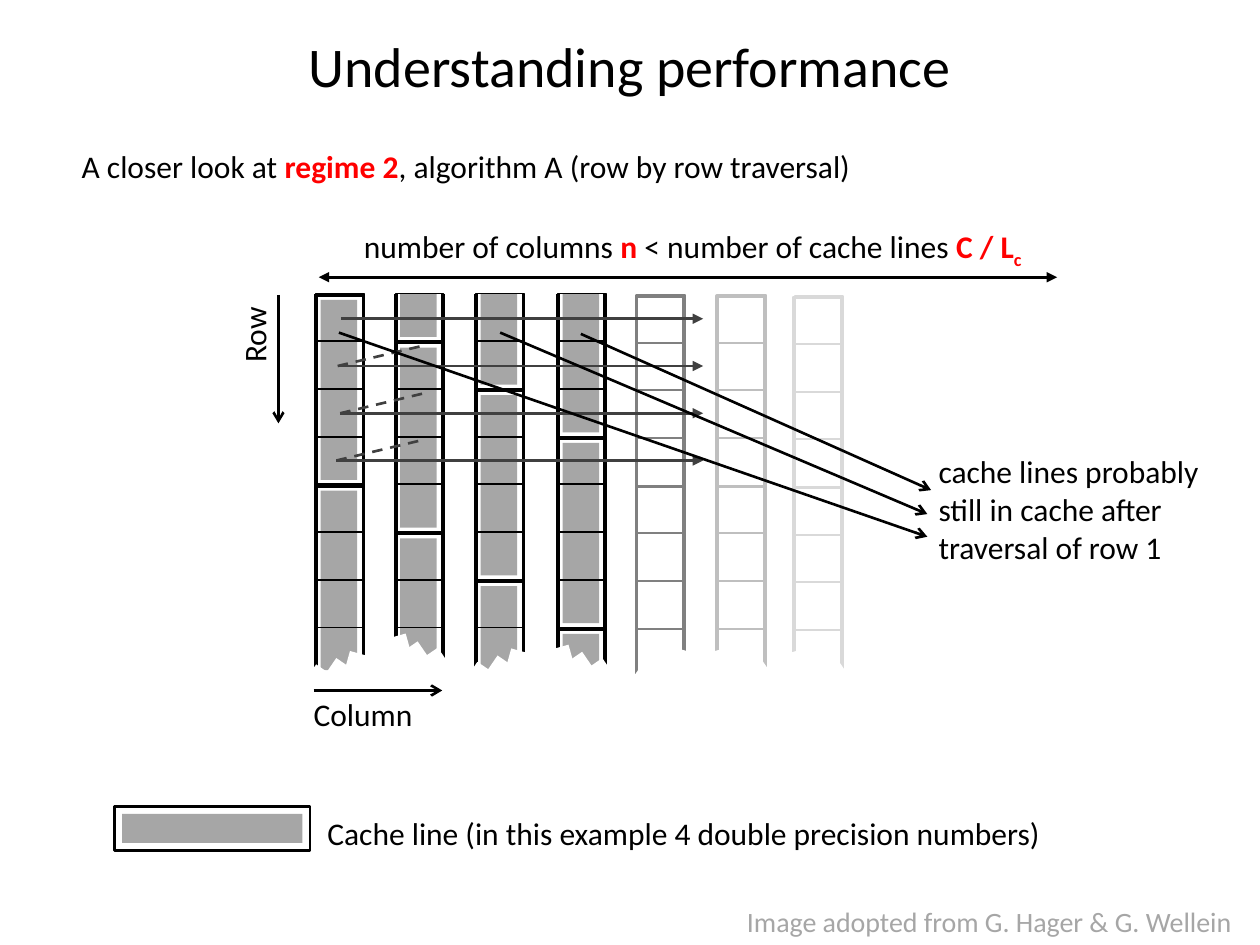
from lxml.etree import SubElement
from pptx import Presentation
from pptx.dml.color import RGBColor
from pptx.enum.dml import MSO_LINE
from pptx.enum.shapes import MSO_CONNECTOR, MSO_SHAPE
from pptx.enum.text import MSO_ANCHOR, PP_ALIGN
from pptx.oxml.ns import qn
from pptx.util import Inches, Pt

BLACK, RED, GRAY, DARK, WHITE = "000000", "FF0000", "A6A6A6", "404040", "FFFFFF"
RECT, LINE = "rectangle", "line"

deck = Presentation()
deck.slide_width, deck.slide_height = Inches(10), Inches(7.5)
slide = deck.slides.add_slide(deck.slide_layouts[6])


def add_text(text, box, size=18, color=BLACK, align=PP_ALIGN.LEFT,
             anchor=MSO_ANCHOR.TOP, rotation=0, wrap=False):
    runs = [(text, False, 0)] if isinstance(text, str) else text
    textbox = slide.shapes.add_textbox(*map(Inches, box))
    textbox.rotation = rotation
    frame = textbox.text_frame
    frame.word_wrap = wrap
    frame.vertical_anchor = anchor
    paragraph = frame.paragraphs[0]
    for content, key, baseline in runs:
        for number, line in enumerate(content.split("\n")):
            if number:
                paragraph = frame.add_paragraph()
            paragraph.alignment = align
            run = paragraph.add_run()
            run.text = line
            run.font.name, run.font.size, run.font.bold = "Calibri", Pt(size), key
            run.font.color.rgb = RGBColor.from_string(RED if key else color)
            if baseline:
                run.font._element.set("baseline", str(baseline * 1000))


def draw(kind, box, fill=None, line=None, width=1, rotation=0, dash=None, head=None, tail=None):
    lengths = map(Inches, box)
    if kind == RECT:
        item = slide.shapes.add_shape(MSO_SHAPE.RECTANGLE, *lengths)
        item.shadow.inherit = False
        item.rotation = rotation
        if fill:
            item.fill.solid()
            item.fill.fore_color.rgb = RGBColor.from_string(fill)
        else:
            item.fill.background()
    else:
        item = slide.shapes.add_connector(MSO_CONNECTOR.STRAIGHT, *lengths)
    if line:
        item.line.color.rgb = RGBColor.from_string(line)
        item.line.width = Pt(width)
    else:
        item.line.fill.background()
    if dash:
        item.line.dash_style = dash
    for end, arrowhead in (("a:headEnd", head), ("a:tailEnd", tail)):
        if arrowhead:
            SubElement(item.line._get_or_add_ln(), qn(end)).set("type", arrowhead)
    if kind == LINE:
        SubElement(item._element.spPr, qn("a:effectLst"))


add_text("Understanding performance", (0.5, 0.17, 9, 0.7), size=32,
         align=PP_ALIGN.CENTER, anchor=MSO_ANCHOR.MIDDLE, wrap=True)
add_text("Image adopted from G. Hager & G. Wellein", (5.83, 7.13, 4.18, 0.37),
         size=16, color=GRAY)

top, bottom, cell, rows, per_line = 2.33, 5.32, 0.38, 8, 4
pitch = 2.65 / 7
cached_columns = [2.51, 3.14, 3.78, 4.43]
faded_columns = [(5.05, 2.34, "808080"), (5.69, 2.34, "BFBFBF"), (6.3, 2.35, "D9D9D9")]

for offset, left in enumerate(cached_columns):
    for edge in (left, left + 0.375):
        draw(LINE, (edge, top, edge, bottom), line=BLACK, width=2.25)
    for first_row in range(offset - per_line, rows, per_line):
        start = top + first_row * pitch + 0.05
        upper, lower = max(start, top), min(start + 1.43, bottom)
        if lower > upper:
            draw(RECT, (left + 0.035, upper, 0.29, lower - upper), fill=GRAY)
    for row in range(rows):
        draw(RECT, (left, top + row * pitch, cell, cell), line=BLACK)

for left, column_top, shade in faded_columns:
    for block in range(2):
        draw(RECT, (left, column_top + 0.01 + block * 1.51, cell, 1.51), line=shade, width=2)
    for row in range(rows):
        draw(RECT, (left + 0.01, column_top + row * pitch, cell, cell), line=shade)

tear = [(0.12, 34.4), (0.07, 34.4), (0, 15.6)]
torn_ends = [(2.42, 5.19, 1, 0.25), (3.06, 5.05, -1, 0.34), (3.7, 5.17, 1, 0.25),
             (4.34, 5.14, -1, 0.25), (5.02, 5.17, 1, 0.25), (5.61, 5.16, -1, 0.25),
             (6.22, 5.17, -1, 0.25)]
for left, tear_top, direction, height in torn_ends:
    for step, (drop, angle) in enumerate(tear[::direction]):
        draw(RECT, (left + step * 0.16, tear_top + drop, 0.21, height),
             fill=WHITE, rotation=direction * angle)

for offset, left in enumerate(cached_columns):
    for row in (offset, offset + per_line):
        boundary = top + row * pitch + 0.01
        draw(LINE, (left + 0.37, boundary, left, boundary), line=BLACK, width=2.25)

for row, start in enumerate([2.71, 2.68, 2.7, 2.67]):
    level = 2.53 + row * 0.375
    draw(LINE, (start, level, 5.58, level), line=DARK, width=1.5, tail="triangle")
    if row:
        draw(LINE, (start, level, start + 0.65, level - 0.155), line=DARK, width=1.5,
             dash=MSO_LINE.DASH)

for direction_arrow in [(2.49, 5.48, 3.51, 5.48), (2.21, 2.34, 2.21, 3.36)]:
    draw(LINE, direction_arrow, line=BLACK, width=1.5, tail="arrow")
add_text("Column", (2.39, 5.47, 1, 0.4))
add_text("Row", (1.69, 2.45, 0.65, 0.4), rotation=270)

draw(RECT, (0.97, 6.46, 1.43, 0.23), fill=GRAY)
draw(RECT, (0.91, 6.4, 1.55, 0.35), line=BLACK, width=1.5)
add_text("Cache line (in this example 4 double precision numbers)", (2.5, 6.41, 5.93, 0.4))

add_text([("A closer look at ", False, 0), ("regime 2", True, 0),
          (", algorithm A (row by row traversal)", False, 0)], (0.55, 1.12, 6.36, 0.4))

draw(LINE, (2.53, 2.2, 8.39, 2.2), line=BLACK, width=1.5, head="triangle", tail="triangle")
add_text([("number of columns ", False, 0), ("n", True, 0),
          (" < number of cache lines ", False, 0), ("C / L", True, 0), ("c", True, -25)],
         (2.79, 1.75, 5.5, 0.4))

for pointer in [(4.61, 2.65, 7.39, 3.89), (3.97, 2.64, 7.36, 4.08), (2.69, 2.64, 7.36, 4.26)]:
    draw(LINE, pointer, line=BLACK, width=1.5, tail="arrow")
add_text("cache lines probably\nstill in cache after\ntraversal of row 1",
         (7.35, 3.54, 2.29, 1.01))

deck.save("out.pptx")
